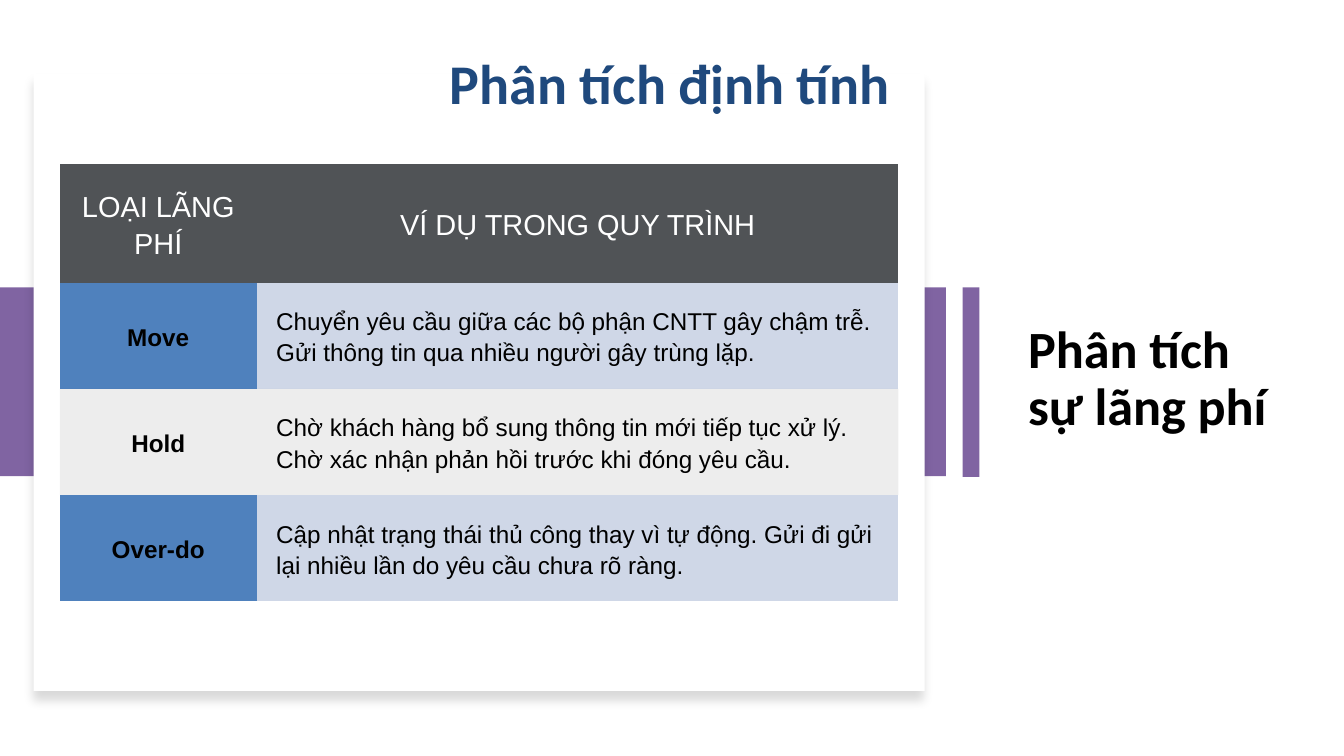
from lxml.etree import SubElement
from pptx import Presentation
from pptx.dml.color import RGBColor
from pptx.enum.shapes import MSO_SHAPE
from pptx.enum.text import MSO_ANCHOR, PP_ALIGN
from pptx.oxml.ns import qn
from pptx.util import Inches, Pt

TITLE = "Phân tích định tính"
SIDE_HEADING = "Phân tích sự lãng phí"
HEADER = ("LOẠI LÃNG PHÍ", "VÍ DỤ TRONG QUY TRÌNH")
WASTES = [
    ("Move", "Chuyển yêu cầu giữa các bộ phận CNTT gây chậm trễ. "
             "Gửi thông tin qua nhiều người gây trùng lặp."),
    ("Hold", "Chờ khách hàng bổ sung thông tin mới tiếp tục xử lý. "
             "Chờ xác nhận phản hồi trước khi đóng yêu cầu."),
    ("Over-do", "Cập nhật trạng thái thủ công thay vì tự động. "
                "Gửi đi gửi lại nhiều lần do yêu cầu chưa rõ ràng."),
]
COL_WIDTHS = (2.93, 9.55)
HEADER_HEIGHT, ROW_HEIGHT = 1.76, 1.58
BLACK, WHITE, PURPLE, NAVY = "000000", "FFFFFF", "8064A2", "1F497D"
HEADER_FILL = ("505356", "505356")
ROW_FILLS = [("4F81BD", "CFD7E7"), (BLACK, BLACK)]
TINT_ALPHA = 7
NO_STYLE = "{2D5ABB26-0587-4C30-8999-92F81FD0307C}"


def paint(target, color):
    target.solid()
    target.fore_color.rgb = RGBColor.from_string(color)


def add_alpha(clr, percent):
    SubElement(clr, qn("a:alpha")).set("val", str(percent * 1000))


def write(tf, text, size, font, color, bold, align, spacing):
    p = tf.paragraphs[0]
    p.alignment = align
    p.line_spacing = spacing
    r = p.add_run()
    r.text = text
    r.font.size = Pt(size)
    r.font.name = font
    r.font.bold = bold
    paint(r.font.fill, color)


def add_heading(sp, box, text, size, color, anchor, align):
    sp.left, sp.top, sp.width, sp.height = map(Inches, box)
    tf = sp.text_frame
    tf.word_wrap = True
    tf.vertical_anchor = anchor
    write(tf, text, size, "Calibri", color, True, align, 0.9)


def add_block(s, box, color, rotation=0):
    sp = s.shapes.add_shape(MSO_SHAPE.RECTANGLE, *map(Inches, box))
    sp.rotation = rotation
    sp.shadow.inherit = False
    paint(sp.fill, color)
    sp.line.fill.background()
    return sp


def add_soft_shadow(sp):
    effects = sp._element.spPr.find(qn("a:effectLst"))
    shadow = SubElement(effects, qn("a:outerShdw"), blurRad=str(Pt(11)),
                        dist=str(Pt(10)), dir="5400000", algn="t", rotWithShape="0")
    add_alpha(SubElement(shadow, qn("a:srgbClr"), val=BLACK), 15)


def fill_cell(cell, text, fill, size, color, bold, align):
    cell.margin_left = cell.margin_right = Inches(0.29)
    cell.margin_top = cell.margin_bottom = Inches(0.29)
    cell.vertical_anchor = MSO_ANCHOR.MIDDLE
    paint(cell.fill, fill)
    if fill == BLACK:
        add_alpha(cell._tc.tcPr.find(qn("a:solidFill"))[0], TINT_ALPHA)
    write(cell.text_frame, text, size, "Arial", color, bold, align, 1.15)


def add_waste_table(s, left, top):
    height = HEADER_HEIGHT + ROW_HEIGHT * len(WASTES)
    frame = s.shapes.add_table(len(WASTES) + 1, len(COL_WIDTHS), Inches(left), Inches(top),
                               Inches(sum(COL_WIDTHS)), Inches(height))
    table = frame.table
    table.horz_banding = False
    table._tbl.tblPr.find(qn("a:tableStyleId")).text = NO_STYLE
    for col, width in zip(table.columns, COL_WIDTHS):
        col.width = Inches(width)
    for i, texts in enumerate([HEADER] + WASTES):
        is_header = i == 0
        table.rows[i].height = Inches(HEADER_HEIGHT if is_header else ROW_HEIGHT)
        fills = HEADER_FILL if is_header else ROW_FILLS[(i - 1) % 2]
        for j, (text, fill) in enumerate(zip(texts, fills)):
            is_label = j == 0
            fill_cell(table.cell(i, j), text, fill,
                      31 if is_header else 26,
                      WHITE if is_header else BLACK,
                      is_label and not is_header,
                      PP_ALIGN.CENTER if is_header or is_label else PP_ALIGN.LEFT)


def main():
    prs = Presentation()
    prs.slide_width, prs.slide_height = Inches(20), Inches(11.25)
    s = prs.slides.add_slide(prs.slide_layouts[5])

    side = s.shapes.add_textbox(0, 0, 0, 0)
    add_heading(side, (15.2, 3.32, 4.05, 4.67), SIDE_HEADING, 56, BLACK,
                MSO_ANCHOR.MIDDLE, PP_ALIGN.LEFT)
    add_block(s, (5.63, -1.36, 2.81, 14.08), PURPLE, 270)
    add_soft_shadow(add_block(s, (0.5, 1.09, 13.26, 9.19), WHITE))
    add_block(s, (13.04, 5.56, 2.82, 0.25), PURPLE, 90)
    add_waste_table(s, 0.89, 2.44)

    title = s.shapes.title
    add_heading(title, (1.24, 0.51, 17.46, 1.27), TITLE, 60, NAVY,
                MSO_ANCHOR.BOTTOM, PP_ALIGN.CENTER)
    s.shapes._spTree.append(title._element)
    prs.save("out.pptx")


if __name__ == "__main__":
    main()
